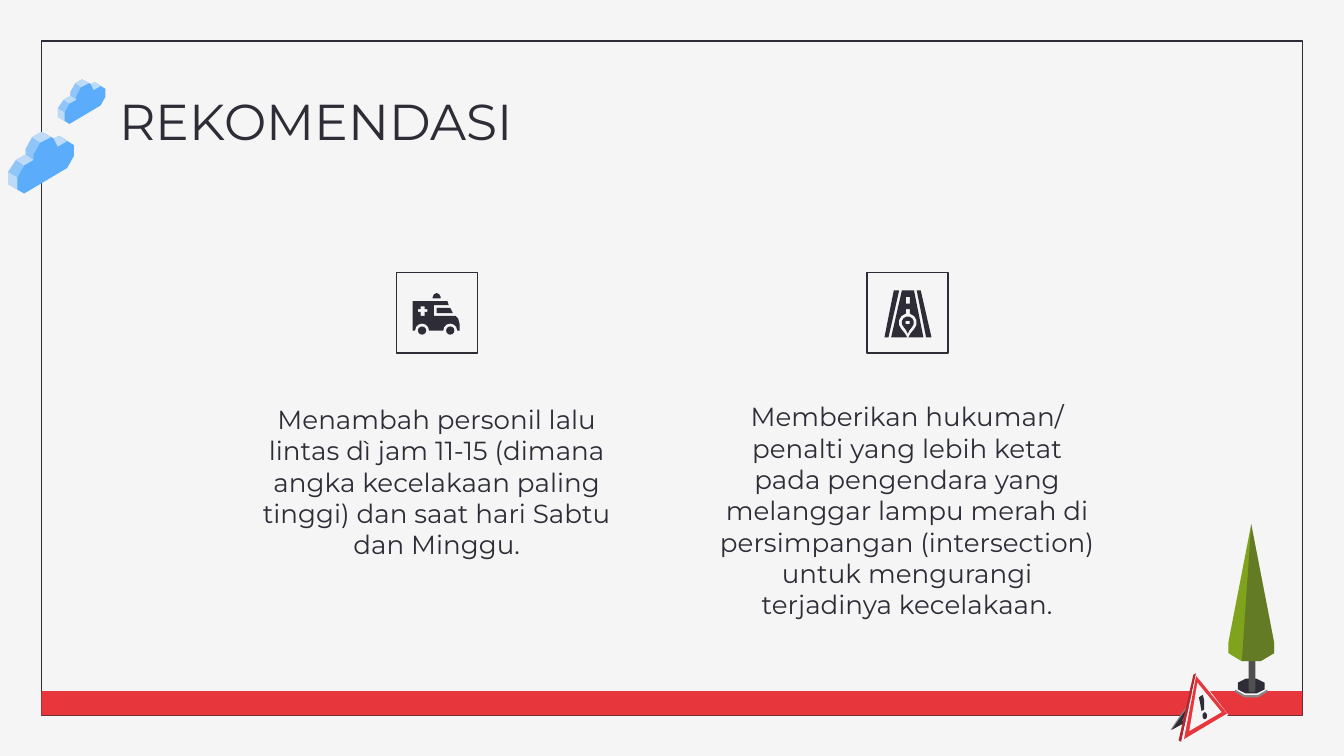
from dataclasses import dataclass

from lxml.etree import SubElement
from pptx import Presentation
from pptx.dml.color import RGBColor
from pptx.enum.shapes import MSO_SHAPE
from pptx.enum.text import MSO_ANCHOR, PP_ALIGN
from pptx.oxml.ns import qn
from pptx.util import Pt


@dataclass(frozen=True)
class Theme:
    font: str = "Montserrat"
    title: int = 27
    body: int = 14
    paper: str = "F5F5F5"
    ink: str = "2D2C37"
    red: str = "E7363C"
    dark_red: str = "B1282F"
    sky: str = "5BADFB"
    gray: str = "878787"
    trunk: str = "505050"
    leaf: str = "7FA31D"


T = Theme()
GRID = 0.72


def polygon(shapes, at, fill, *contours, alpha=100, unit=GRID):
    first, *rest = contours
    fb = shapes.build_freeform(*first[0], scale=Pt(unit))
    fb.add_line_segments(first[1:])
    for contour in rest:
        fb.move_to(*contour[0])
        fb.add_line_segments(contour[1:])
    s = fb.convert_to_shape(*map(Pt, at))
    s.shadow.inherit = False
    s.line.fill.background()
    s.fill.solid()
    s.fill.fore_color.rgb = RGBColor.from_string(fill)
    if alpha < 100:
        color = s.fill._xPr.find(qn("a:solidFill"))[0]
        SubElement(color, qn("a:alpha")).set("val", str(alpha * 1000))


def preset(shapes, kind, box, fill=None, line=None):
    s = shapes.add_shape(kind, *map(Pt, box))
    s.shadow.inherit = False
    for part, color in ((s.fill, fill), (s.line.fill, line)):
        if color:
            part.solid()
            part.fore_color.rgb = RGBColor.from_string(color)
        else:
            part.background()
    if line:
        s.line.width = Pt(0.75)
    return s


prs = Presentation()
prs.slide_width, prs.slide_height = Pt(720), Pt(405)
slide = prs.slides.add_slide(prs.slide_layouts[6])
slide.background.fill.solid()
slide.background.fill.fore_color.rgb = RGBColor.from_string(T.paper)
shapes = slide.shapes

preset(shapes, MSO_SHAPE.RECTANGLE, (22.2, 22, 675.6, 361), line=T.ink)
preset(shapes, MSO_SHAPE.RECTANGLE, (22.2, 370.2, 675.6, 13), fill=T.red)

cloud = [
    (T.sky, 100, [(25, 0), (18, 4), (13, 13), (13, 17), (6, 21), (0, 30), (0, 39),
                  (12, 46), (44, 27), (49, 18), (49, 10), (38, 3), (34, 5)]),
    (T.paper, 64, [(25, 0), (18, 4), (24, 8), (32, 4)]),
    (T.paper, 64, [(13, 17), (6, 21), (12, 25), (19, 21)]),
    (T.paper, 34, [(6, 21), (0, 30), (7, 34), (12, 25)]),
    (T.paper, 34, [(13, 13), (13, 17), (19, 21), (19, 17)]),
    (T.paper, 64, [(0, 30), (0, 39), (7, 43), (7, 34)]),
    (T.paper, 64, [(38, 3), (34, 5), (37, 11), (44, 7)]),
    (T.paper, 34, [(18, 4), (13, 13), (19, 17), (24, 8)]),
]
for at, unit in (((4.3, 70.6), GRID), ((31, 42.5), 0.52)):
    group = shapes.add_group_shape().shapes
    for fill, alpha, points in cloud:
        polygon(group, at, fill, points, alpha=alpha, unit=unit)

tree = [
    (T.gray, 100, [(5, 123), (5, 125), (12, 129), (22, 129), (29, 125), (29, 123)]),
    (T.paper, 100, [(12, 114), (5, 117), (5, 123), (12, 127), (22, 127), (29, 123),
                    (29, 117), (22, 114)]),
    (T.ink, 100, [(13, 115), (7, 118), (7, 123), (13, 126), (21, 126), (27, 123),
                  (27, 118), (21, 115)]),
    (T.trunk, 100, [(16, 95), (15, 96), (15, 124), (16, 125), (19, 125), (20, 124),
                    (20, 96), (18, 95)]),
    (T.leaf, 100, [(17, 0), (0, 88), (0, 96), (10, 102), (24, 102), (34, 96), (34, 88)]),
    (T.ink, 33, [(17, 0), (10, 102), (24, 102), (34, 96), (34, 88)]),
]
sign = [
    (T.gray, 100, [(21, 11), (0, 42), (1, 42), (22, 30), (21, 28), (7, 36), (21, 16)]),
    (T.ink, 100, [(22, 12), (1, 42), (23, 30), (22, 29), (8, 36), (22, 17)]),
    (T.dark_red, 100, [(19, 0), (17, 1), (6, 50), (8, 51)]),
    (T.paper, 100, [(19, 0), (8, 51), (43, 31)]),
    (T.red, 100, [(19, 2), (10, 49), (42, 30)]),
    (T.paper, 100, [(20, 7), (14, 43), (38, 29)]),
    (T.ink, 100, [(24, 16), (21, 18), (22, 22), (23, 28), (25, 27), (25, 20)]),
]
for at, parts in (((658.1, 280.8), tree), ((627.1, 360.7), sign)):
    group = shapes.add_group_shape().shapes
    for fill, alpha, points in parts:
        polygon(group, at, fill, points, alpha=alpha)
preset(group, MSO_SHAPE.OVAL, (644.2, 381.6, 2.4, 3.7), fill=T.ink)

for left in (212.3, 464.5):
    preset(shapes, MSO_SHAPE.RECTANGLE, (left, 146, 43.4, 43.2), T.paper, T.ink)

ambulance = shapes.add_group_shape().shapes
at = (221, 157)
polygon(ambulance, at, T.ink, [(18, 11), (18, 15), (30, 15), (28, 11)])
polygon(
    ambulance, at, T.ink,
    [(0, 6), (0, 28), (35, 28), (35, 23), (34, 19), (32, 17), (16, 17), (16, 9),
     (27, 9), (26, 6)],
    [(9, 10), (9, 12), (11, 12), (11, 14), (9, 14), (9, 17), (6, 17), (6, 14),
     (4, 14), (4, 12), (6, 12), (6, 10)],
)
polygon(ambulance, at, T.ink, [(15, 4), (15, 3), (16, 1), (18, 0), (20, 1), (21, 3), (21, 4)])
for x in (226.1, 241.2):
    for size, fill in ((7.4, T.paper), (4.4, T.ink)):
        preset(ambulance, MSO_SHAPE.OVAL, (x - size / 2, 177.1 - size / 2, size, size), fill)

road = shapes.add_group_shape().shapes
at = (473.8, 155.5)
polygon(
    road, at, T.ink,
    [(7, 0), (0, 35), (3, 35), (11, 0)],
    [(13, 0), (5, 35), (29, 35), (22, 0)],
    [(24, 0), (31, 35), (35, 35), (27, 0)],
    [(19, 5), (19, 10), (16, 10), (16, 5)],
    [(19, 14), (19, 19), (16, 19), (16, 14)],
)
for size, stretch, fill in ((9.6, 1.25, T.paper), (6.5, 1.3, T.ink)):
    s = preset(road, MSO_SHAPE.TEAR, (486.3 - size / 2, 172.8 - size / 2, size, size), fill)
    s.adjustments[0] = stretch
    s.rotation = 135
preset(road, MSO_SHAPE.RECTANGLE, (485.2, 172, 2.2, 1.5), T.paper)

frame_format = {"word_wrap": True, "vertical_anchor": MSO_ANCHOR.TOP}
frame_format |= {f"margin_{side}": Pt(7.2) for side in ("left", "right", "top", "bottom")}
texts = [
    ((56.9, 41, 607, 45.4), T.title, PP_ALIGN.LEFT, "REKOMENDASI"),
    ((376.6, 207.4, 218.9, 91.4), T.body, PP_ALIGN.CENTER,
     "Memberikan hukuman/ penalti yang lebih ketat pada pengendara yang melanggar "
     "lampu merah di persimpangan (intersection) untuk mengurangi terjadinya kecelakaan."),
    ((124.6, 208.8, 218.9, 91.4), T.body, PP_ALIGN.CENTER,
     "Menambah personil lalu lintas dì jam 11-15 (dimana angka kecelakaan paling "
     "tinggi) dan saat hari Sabtu dan Minggu."),
]
for box, size, align, text in texts:
    tf = shapes.add_textbox(*map(Pt, box)).text_frame
    for name, value in frame_format.items():
        setattr(tf, name, value)
    p = tf.paragraphs[0]
    p.alignment = align
    r = p.add_run()
    r.text = text
    for name, value in {"name": T.font, "size": Pt(size)}.items():
        setattr(r.font, name, value)
    r.font.color.rgb = RGBColor.from_string(T.ink)

prs.save("out.pptx")
